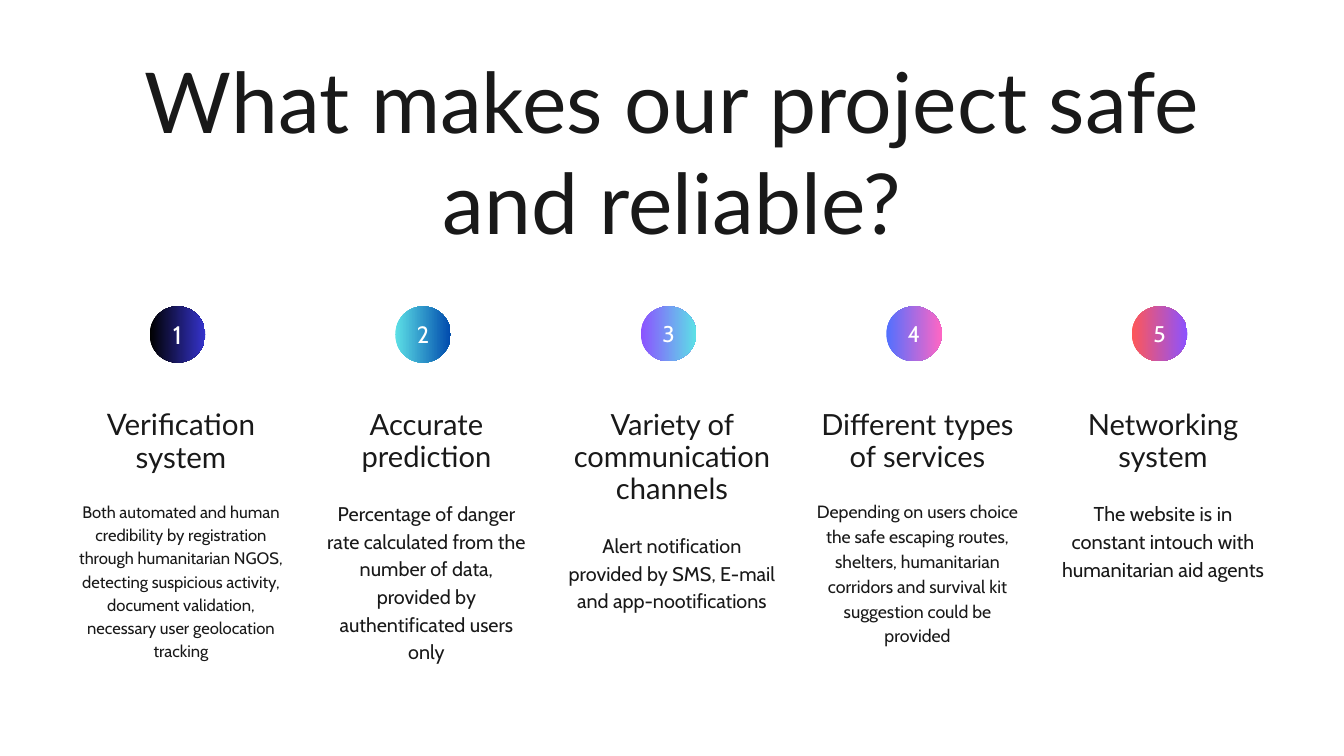
from dataclasses import dataclass

from pptx import Presentation
from pptx.dml.color import RGBColor
from pptx.enum.shapes import MSO_SHAPE as Shape
from pptx.enum.text import MSO_ANCHOR as Anchor, PP_ALIGN as Align
from pptx.util import Cm, Pt

COLORS = {
    "ink": "191919", "white": "FFFFFF", "black": "000000", "indigo": "3533CD",
    "aqua": "5DE0E6", "navy": "004AAD", "violet": "8C52FF", "cyan": "5CE1E6",
    "blue": "5170FF", "pink": "FF66C4", "coral": "FF5757",
}
FRAME = {"margin_left": 0, "margin_top": 0, "margin_right": 0,
         "margin_bottom": 0, "word_wrap": True}
CM_PER_PT = 2.54 / 72
COLUMN_PITCH = 9.28


@dataclass
class Reason:
    heading: str
    detail: str
    gradient: tuple
    number_size: float = 24.3
    heading_size: float = 31.2
    heading_lines: int = 2
    detail_size: float = 21.2
    detail_height: float = 6.15
    badge_height: float = 2.08


REASONS = [
    Reason("Verification system",
           "Both automated and human credibility by registration through "
           "humanitarian NGOS, detecting suspicious activity, document "
           "validation, necessary user geolocation tracking",
           ("black", "indigo"), number_size=27.1, heading_size=31.7,
           detail_size=17.8, detail_height=5.94, badge_height=2.13),
    Reason("Accurate prediction",
           "Percentage of danger rate calculated from the number of data, "
           "provided by authentificated users only",
           ("aqua", "navy"), number_size=25.3, badge_height=2.13),
    Reason("Variety of communication channels",
           "Alert notification provided by SMS, E-mail and app-nootifications",
           ("violet", "cyan"), heading_lines=3, detail_height=5.1),
    Reason("Different types of services",
           "Depending on users choice the safe escaping routes, shelters, "
           "humanitarian corridors and survival kit suggestion could be provided",
           ("blue", "pink"), detail_size=19, detail_height=6.4),
    Reason("Networking system",
           "The website is in constant intouch with humanitarian aid agents",
           ("coral", "violet"), detail_size=21.5, detail_height=4.19),
]


def color(name):
    return RGBColor.from_string(COLORS[name])


def write(shape, text, font, size, leading, ink="ink", anchor=Anchor.TOP):
    """Fill a shape with one centred paragraph; leading is a multiple of size."""
    frame = shape.text_frame
    for name, value in FRAME.items():
        setattr(frame, name, value)
    frame.vertical_anchor = anchor
    paragraph = frame.paragraphs[0]
    paragraph.alignment = Align.CENTER
    paragraph.line_spacing = Pt(round(size * leading, 1))
    run = paragraph.add_run()
    run.text = text
    run.font.name = font
    run.font.size = Pt(size)
    run.font.color.rgb = color(ink)


def add_text(slide, left, top, width, height, *style):
    box = slide.shapes.add_textbox(Cm(left), Cm(top), Cm(width), Cm(height))
    write(box, *style)


def add_title(slide, left, top, width, height):
    add_text(slide, left, top, width, height,
             "What makes our project safe and reliable?", "Lato", 90, 1.2)


def add_badge(slide, left, top, width, number, reason):
    badge = slide.shapes.add_shape(Shape.OVAL, Cm(left), Cm(top),
                                   Cm(width), Cm(reason.badge_height))
    badge.shadow.inherit = False
    badge.line.fill.background()
    badge.fill.gradient()
    badge.fill.gradient_angle = 0
    for stop, name in zip(badge.fill.gradient_stops, reason.gradient):
        stop.color.rgb = color(name)
    write(badge, str(number), "Cabin", reason.number_size, 1.2,
          "white", Anchor.MIDDLE)


def add_reason(slide, left, top, width, number, reason):
    badge_width = 2.1
    add_badge(slide, left + (width - badge_width) / 2 - 0.13, top,
              badge_width, number, reason)
    heading_top = top + 3.89
    heading_height = reason.heading_lines * reason.heading_size * 1.1 * CM_PER_PT
    add_text(slide, left, heading_top, width, heading_height,
             reason.heading, "Lato", reason.heading_size, 1.1)
    add_text(slide, left, heading_top + heading_height + 0.92, width,
             reason.detail_height, reason.detail, "Cabin", reason.detail_size, 1.4)


def main():
    deck = Presentation()
    deck.slide_width, deck.slide_height = Cm(50.8), Cm(28.58)
    slide = deck.slides.add_slide(deck.slide_layouts[6])
    add_title(slide, 3.58, 1.88, 43.64, 7.65)
    for index, reason in enumerate(REASONS):
        add_reason(slide, 2.84 + index * COLUMN_PITCH, 11.58, 8, index + 1, reason)
    deck.save("out.pptx")


if __name__ == "__main__":
    main()
